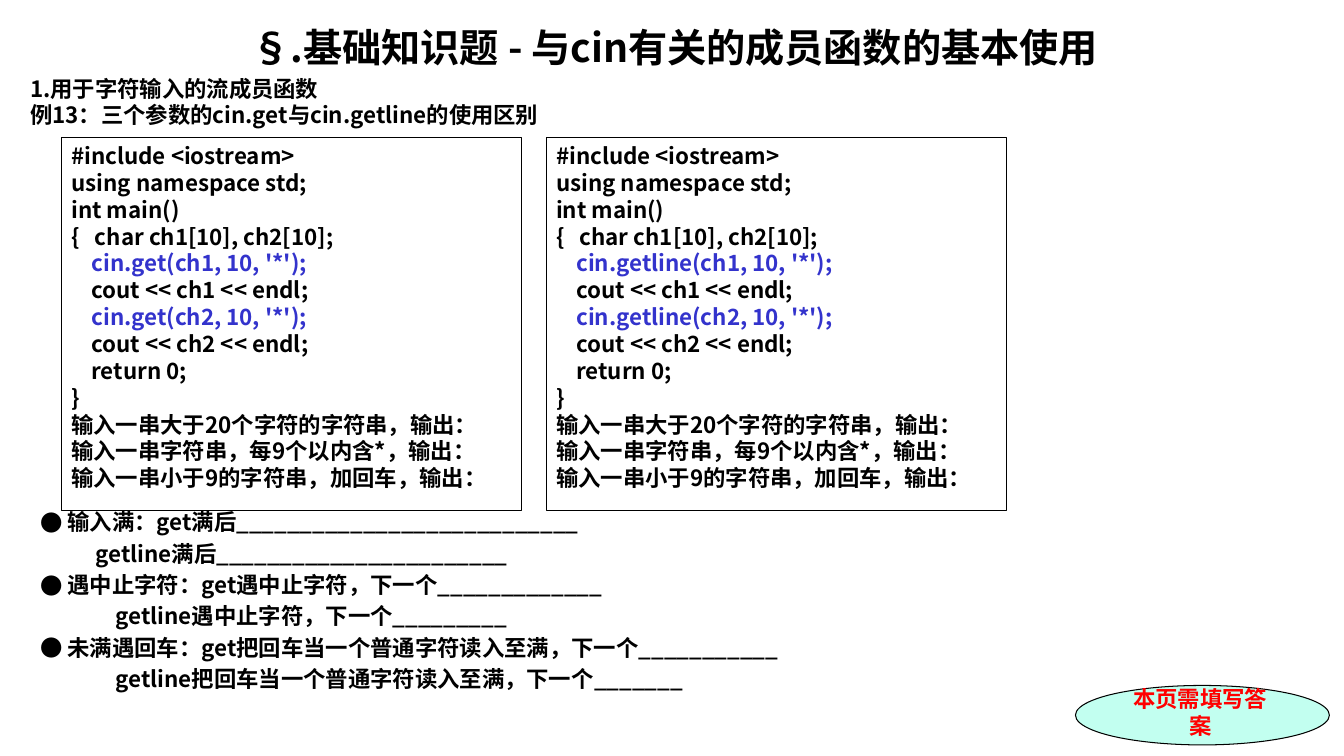
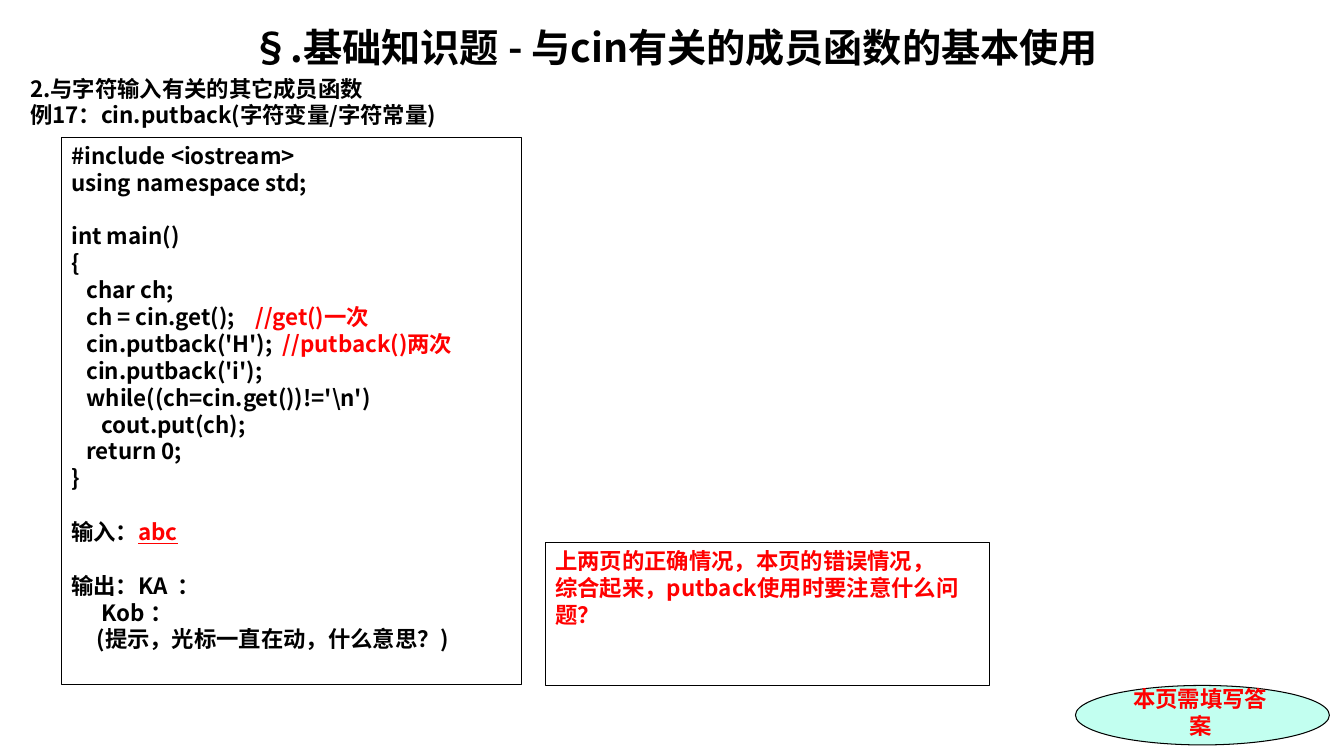
from lxml import etree
from pptx import Presentation
from pptx.dml.color import RGBColor
from pptx.enum.shapes import MSO_SHAPE as SHAPE
from pptx.enum.text import MSO_ANCHOR as ANCHOR, PP_ALIGN as ALIGN
from pptx.oxml.ns import qn
from pptx.util import Pt

FONT = "Noto Sans CJK SC"
BLACK, RED, BLUE, MINT = "000000", "FF0000", "3333CC", "C2FFF0"
SIZE, LINE = 16, 1.2    # body size, line height per point of size
SPACE = 3.6             # width of one space in body text
LEAD = SIZE * LINE
TITLE = "§.基础知识题 - 与cin有关的成员函数的基本使用"

prs = Presentation()
prs.slide_width, prs.slide_height = Pt(960), Pt(540)


def add_box(s, x, y, w, h, kind=None, fill=None):
    """Add a text box, or an outlined shape, and return its text frame."""
    pos = Pt(x), Pt(y), Pt(w), Pt(h)
    if kind is None:
        sp = s.shapes.add_textbox(*pos)
    else:
        sp = s.shapes.add_shape(kind, *pos)
        sp.shadow.inherit = False
        sp.line.color.rgb = RGBColor.from_string(BLACK)
        sp.line.width = Pt(0.75)
        if fill:
            sp.fill.solid()
            sp.fill.fore_color.rgb = RGBColor.from_string(fill)
        else:
            sp.fill.background()
    tf = sp.text_frame
    tf.word_wrap = True
    tf.vertical_anchor = ANCHOR.TOP
    return tf


def add_line(tf, runs, indent=0.0, before=0.0, bullet=False,
             size=SIZE, align=ALIGN.LEFT, font=FONT):
    """Add a paragraph of (text, colour) runs; a vertical tab breaks the line.

    A number in place of the text is a gap, as one space widened to that many.
    """
    p = tf.paragraphs[0]
    if p.runs:
        p = tf.add_paragraph()
    p.alignment = align
    p.line_spacing = Pt(size * LINE)
    p.space_before = Pt(before)
    pPr = p._p.get_or_add_pPr()
    pPr.set("marL", str(Pt(indent)))
    pPr.set("indent", str(Pt(-SIZE - SPACE if bullet else 0)))
    if bullet:
        etree.SubElement(pPr, qn("a:buFont"), typeface=FONT)
        etree.SubElement(pPr, qn("a:buChar"), char="●")
    else:
        etree.SubElement(pPr, qn("a:buNone"))
    for text, color in runs:
        gap = text if isinstance(text, int) else 0
        for i, part in enumerate([" "] if gap else text.split("\v")):
            if i:
                p.add_line_break()
            r = p.add_run()
            r.text = part
            r.font.size, r.font.bold, r.font.name = Pt(size), True, font
            r.font.color.rgb = RGBColor.from_string(color)
            rPr = r._r.get_or_add_rPr()
            etree.SubElement(rPr, qn("a:ea"), typeface=FONT)
            if gap:
                rPr.set("spc", str(round((gap - 1) * SPACE * 100)))
    return p


# Shared parts: title, section heading, answer badge
slides = []
for heading in ("1.用于字符输入的流成员函数\v例13：三个参数的cin.get与cin.getline的使用区别",
                "2.与字符输入有关的其它成员函数\v例17：cin.putback(字符变量/字符常量)"):
    s = prs.slides.add_slide(prs.slide_layouts[6])
    slides.append(s)
    tf = add_box(s, 14.4, 13, 935, 84)
    add_line(tf, [(TITLE, BLACK)], size=28, align=ALIGN.CENTER)
    add_line(tf, [(heading, BLACK)], before=SIZE * 0.2)
    tf = add_box(s, 768.2, 489.6, 181.4, 42.5, SHAPE.OVAL, MINT)
    tf.vertical_anchor = ANCHOR.MIDDLE
    tf.margin_right, tf.margin_bottom = Pt(10), Pt(8)
    add_line(tf, [("本页需填写答案", RED)], align=ALIGN.CENTER, font="Times New Roman")
s1, s2 = slides

# Slide 1: the same program with get and with getline
for x, func in ((43.9, "get"), (390.2, "getline")):
    tf = add_box(s1, x, 97.9, 329, 267, SHAPE.RECTANGLE)
    for text in ("#include <iostream>", "using namespace std;", "int main()"):
        add_line(tf, [(text, BLACK)])
    add_line(tf, [("{", BLACK), (3, BLACK), ("char ch1[10], ch2[10];", BLACK)])
    for var in ("ch1", "ch2"):
        add_line(tf, [(f"cin.{func}({var}, 10, '*');", BLUE)], 4 * SPACE)
        add_line(tf, [(f"cout << {var} << endl;", BLACK)], 4 * SPACE)
    add_line(tf, [("return 0;", BLACK)], 4 * SPACE)
    for text in ("}", "输入一串大于20个字符的字符串，输出：",
                 "输入一串字符串，每9个以内含*，输出：",
                 "输入一串小于9的字符串，加回车，输出："):
        add_line(tf, [(text, BLACK)])

# Slide 1: questions, each with a line for get and one for getline
tf = add_box(s1, 14.4, 359.6, 935, 142)
for get_text, getline_text, spaces in (
        ("输入满：get满后" + "_" * 27, "getline满后" + "_" * 23, 13),
        ("遇中止字符：get遇中止字符，下一个" + "_" * 13,
         "getline遇中止字符，下一个" + "_" * 9, 17),
        ("未满遇回车：get把回车当一个普通字符读入至满，下一个" + "_" * 11,
         "getline把回车当一个普通字符读入至满，下一个" + "_" * 7, 17)):
    first = not tf.paragraphs[0].runs
    add_line(tf, [(get_text, BLACK)], SIZE + 3 * SPACE,
             0 if first else SIZE * 0.2, bullet=True)
    add_line(tf, [(getline_text, BLACK)], spaces * SPACE, SIZE * 0.2)

# Slide 2: program, as (indent in spaces, blank lines above, runs)
tf = add_box(s2, 43.9, 97.9, 329, 391, SHAPE.RECTANGLE)
for spaces, blanks, runs in (
        (0, 0, [("#include <iostream>", BLACK)]),
        (0, 0, [("using namespace std;", BLACK)]),
        (0, 1, [("int main()", BLACK)]),
        (0, 0, [("{", BLACK)]),
        (3, 0, [("char ch;", BLACK)]),
        (3, 0, [("ch = cin.get();", BLACK), (4, RED), ("//get()一次", RED)]),
        (3, 0, [("cin.putback('H');", BLACK), (2, BLACK), ("//putback()两次", RED)]),
        (3, 0, [("cin.putback('i');", BLACK)]),
        (3, 0, [("while((ch=cin.get())!='\\n')", BLACK)]),
        (6, 0, [("cout.put(ch);", BLACK)]),
        (3, 0, [("return 0;", BLACK)]),
        (0, 0, [("}", BLACK)]),
        (0, 1, [("输入：", BLACK), ("abc", RED)]),
        (0, 1, [("输出：KA", BLACK), (2, BLACK), ("：", BLACK)]),
        (6, 0, [("Kob ：", BLACK)]),
        (5, 0, [("(提示，光标一直在动，什么意思？)", BLACK)])):
    p = add_line(tf, runs, spaces * SPACE, blanks * LEAD)
    if runs[-1][0] == "abc":
        p.runs[-1].font.underline = True

# Slide 2: closing question
tf = add_box(s2, 389.5, 387.4, 317.5, 102.2, SHAPE.RECTANGLE)
for text in ("上两页的正确情况，本页的错误情况，",
             "综合起来，putback使用时要注意什么问题？"):
    add_line(tf, [(text, RED)])

prs.save("out.pptx")
